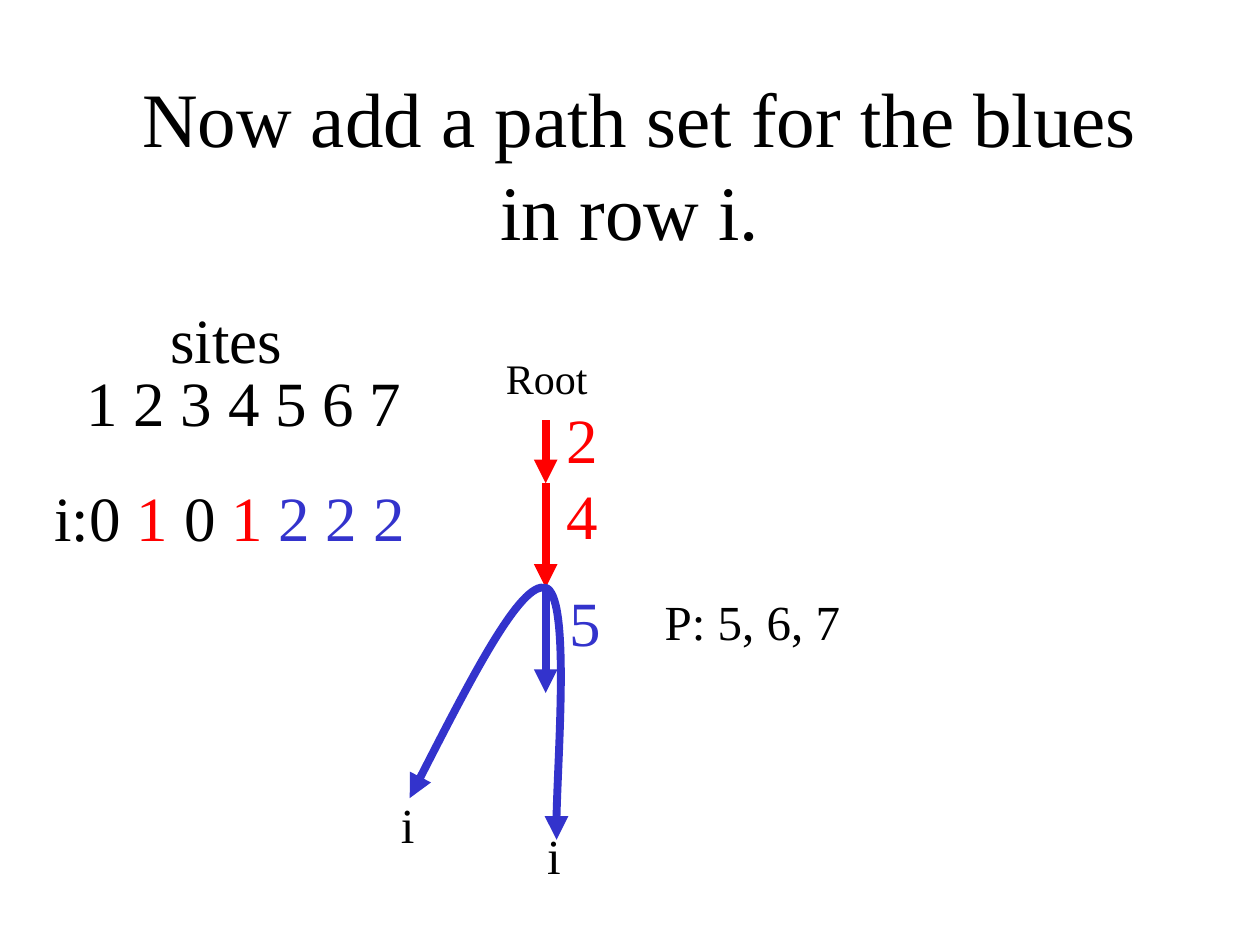
from lxml.etree import SubElement
from pptx import Presentation
from pptx.dml.color import RGBColor
from pptx.enum.shapes import MSO_CONNECTOR
from pptx.enum.text import MSO_ANCHOR, MSO_AUTO_SIZE, PP_ALIGN
from pptx.oxml.ns import qn
from pptx.util import Cm, Pt

BLACK = RGBColor(0, 0, 0)
RED = RGBColor(0xFF, 0, 0)
BLUE = RGBColor(0x33, 0x33, 0xCC)
FACE = "Times New Roman"
STEM = 11  # x of the path below the root


def style(obj, **values):
    for name, value in values.items():
        setattr(obj, name, value)


def fill_para(para, runs, size):
    for text, color in runs:
        run = para.add_run()
        run.text = text
        style(run.font, name=FACE, size=Pt(size))
        run.font.color.rgb = color


def add_title(slide, text):
    title = slide.shapes.title
    style(title, left=Cm(1.9), top=Cm(1.7), width=Cm(21.6), height=Cm(3.18))
    style(title.text_frame, auto_size=MSO_AUTO_SIZE.NONE, word_wrap=True,
          vertical_anchor=MSO_ANCHOR.MIDDLE)
    para = title.text_frame.paragraphs[0]
    para.alignment = PP_ALIGN.CENTER
    para._p.get_or_add_pPr().set("indent", str(Cm(0.39)))
    fill_para(para, [(text, BLACK)], 44)


def add_text(slide, box, lines, size, gap=0, wrap=False):
    """Each line is a list of (text, color) runs."""
    frame = slide.shapes.add_textbox(*map(Cm, box)).text_frame
    style(frame, word_wrap=wrap, auto_size=MSO_AUTO_SIZE.SHAPE_TO_FIT_TEXT)
    for num, runs in enumerate(lines):
        para = frame.add_paragraph() if num else frame.paragraphs[0]
        if num:
            para.space_before = Pt(gap)
        fill_para(para, runs, size)
    return frame


def set_line(shape, color, ends):
    shape.line.color.rgb = color
    shape.line.width = Pt(4.5)
    for end in ends:
        SubElement(shape.line._get_or_add_ln(), qn(f"a:{end}"), type="triangle")


def add_arrow(slide, top, bottom, color):
    line = slide.shapes.add_connector(
        MSO_CONNECTOR.STRAIGHT, Cm(STEM), Cm(top), Cm(STEM), Cm(bottom))
    set_line(line, color, ["tailEnd"])
    SubElement(line._element.spPr, qn("a:effectLst"))


def add_curve(slide, points, color):
    """Draw a Bezier curve: a start, then three points per segment."""
    start, *rest = [(Cm(x), Cm(y)) for x, y in points]
    form = slide.shapes.build_freeform(*start)
    form.add_line_segments(rest, close=False)
    curve = form.convert_to_shape()
    curve.shadow.inherit = False
    curve.fill.background()
    set_line(curve, color, ["headEnd", "tailEnd"])
    # Turn each three straight steps into one cubic step
    steps = list(curve._element.iter(qn("a:lnTo")))
    for first in range(0, len(steps), 3):
        cubic = SubElement(steps[first].getparent(), qn("a:cubicBezTo"))
        for step in steps[first:first + 3]:
            cubic.append(step[0])
            step.getparent().remove(step)


def main():
    deck = Presentation()
    style(deck, slide_width=Cm(25.4), slide_height=Cm(19.05))
    slide = deck.slides.add_slide(deck.slide_layouts[5])
    add_title(slide, "Now add a path set for the blues in row i.")

    # Sites and the row i
    add_text(slide, (3.18, 5.93, 2.77, 1.78), [[("sites", BLACK)]], 36)
    row = [("i:0 ", BLACK), ("1", RED), (" 0 ", BLACK), ("1", RED),
           (" 2 2 2", BLUE)]
    sites = add_text(slide, (0.85, 7.2, 8.05, 4.11),
                     [[("1 2 3 4 5 6 7", BLACK)], row], 36, 22.5, True)
    sites.paragraphs[0]._p.get_or_add_pPr().set("marL", str(Cm(0.64)))

    # Path from the root
    add_text(slide, (9.95, 6.99, 2.75, 1.27), [[("Root", BLACK)]], 24, wrap=True)
    for top, bottom, color in [(8.47, 9.74, RED), (9.74, 11.85, RED),
                               (11.85, 13.97, BLUE)]:
        add_arrow(slide, top, bottom, color)
    add_text(slide, (11.18, 7.95, 1.14, 3.3), [[("2", RED)], [("4", RED)]], 36)
    add_text(slide, (11.23, 11.64, 1.14, 1.78), [[("5", BLUE)]], 36)

    # Both ends of the path set
    add_curve(slide, [(8.26, 16.09), (9.38, 13.9), (10.5, 11.71), (STEM, 11.85),
                      (11.5, 12), (11.18, 16.09), (11.22, 16.93)], BLUE)
    for left, top, width, text in [(7.83, 15.9, 0.79, "i"),
                                   (10.78, 16.52, 0.79, "i"),
                                   (13.15, 11.79, 4.04, "P: 5, 6, 7")]:
        add_text(slide, (left, top, width, 1.45), [[(text, BLACK)]], 28)

    deck.save("out.pptx")


if __name__ == "__main__":
    main()
